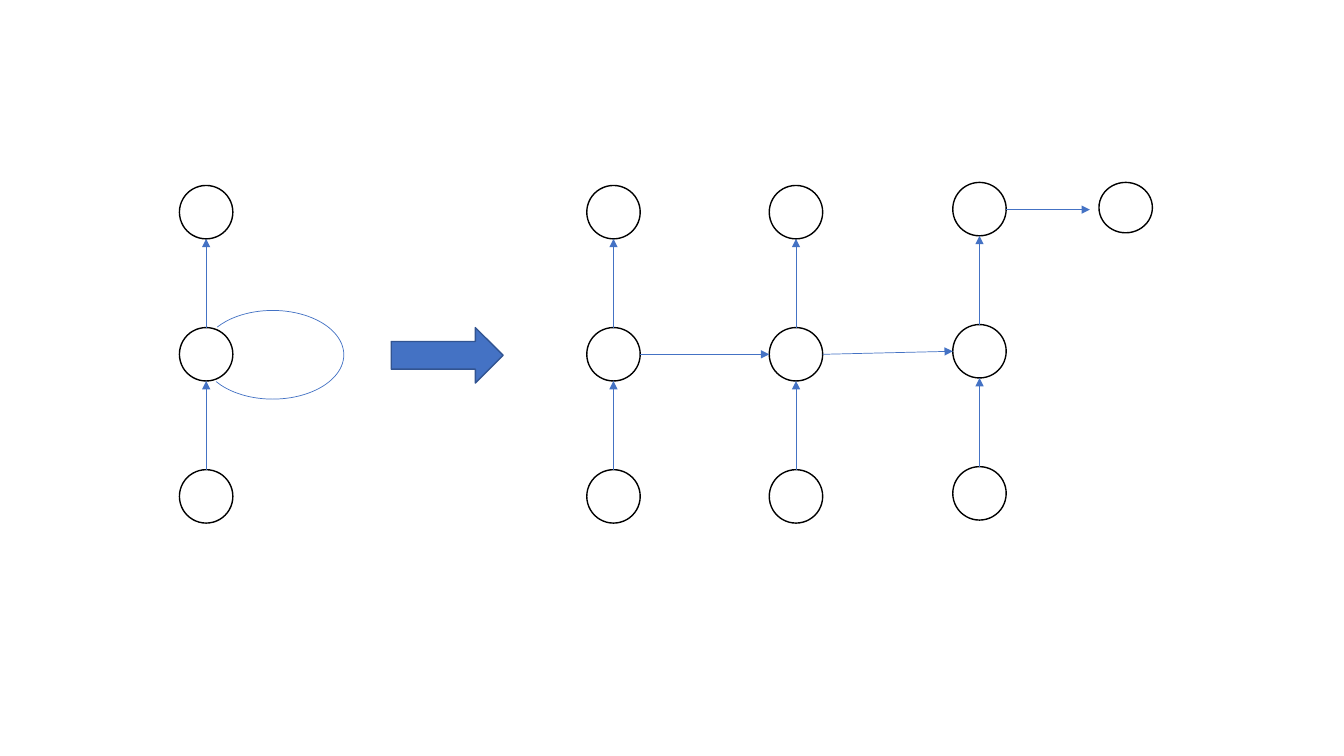
"""Draw a recurrent network and its unrolled form."""
from pptx import Presentation
from pptx.dml.color import RGBColor
from pptx.enum import shapes as kinds
from pptx.oxml.ns import qn
from pptx.util import Inches, Pt
from lxml import etree

WHITE = RGBColor(0xFF, 0xFF, 0xFF)
BLACK = RGBColor(0x00, 0x00, 0x00)
BLUE = RGBColor(0x44, 0x72, 0xC4)
DARK_BLUE = RGBColor(0x32, 0x54, 0x91)

NODE = 0.53
LAYER_STEP = 1.41


def add_figure(slide, kind, box, fill, line, width):
    figure = slide.shapes.add_shape(kind, *map(Inches, box))
    figure.shadow.inherit = False
    if fill is None:
        figure.fill.background()
    else:
        figure.fill.solid()
        figure.fill.fore_color.rgb = fill
    figure.line.color.rgb = line
    figure.line.width = Pt(width)
    return figure


def add_node(slide, left, top, height=NODE):
    add_figure(slide, kinds.MSO_SHAPE.OVAL, (left, top, NODE, height),
               WHITE, BLACK, 1)


def add_arrow(slide, start, end):
    arrow = slide.shapes.add_connector(
        kinds.MSO_CONNECTOR.STRAIGHT, *map(Inches, (*start, *end)))
    arrow.line.color.rgb = BLUE
    arrow.line.width = Pt(0.5)
    properties = arrow.element.spPr
    head = etree.SubElement(properties.find(qn("a:ln")), qn("a:tailEnd"))
    head.set("type", "triangle")
    etree.SubElement(properties, qn("a:effectLst"))


def add_column(slide, left, top):
    layer_tops = [top + layer * LAYER_STEP for layer in range(3)]
    for layer_top in layer_tops:
        add_node(slide, left, layer_top)
    middle = left + NODE / 2
    for upper, lower in zip(layer_tops, layer_tops[1:]):
        add_arrow(slide, (middle, lower), (middle, upper + NODE))


def add_loop(slide):
    loop = add_figure(slide, kinds.MSO_SHAPE.ARC, (2, 3.08, 1.41, 0.88),
                      None, BLUE, 0.5)
    loop.adjustments[0] = 123.939
    loop.adjustments[1] = 92.794


def main():
    deck = Presentation()
    deck.slide_width, deck.slide_height = Inches(13.33), Inches(7.5)
    slide = deck.slides.add_slide(deck.slide_layouts[6])

    add_column(slide, 1.78, 1.84)
    add_figure(slide, kinds.MSO_SHAPE.RIGHT_ARROW, (3.88, 3.25, 1.11, 0.55),
               BLUE, DARK_BLUE, 1)
    add_loop(slide)

    steps = [(5.82, 1.84), (7.63, 1.84), (9.45, 1.81)]
    for left, top in steps:
        add_column(slide, left, top)
    hidden_offset = LAYER_STEP + NODE / 2
    for (left, top), (next_left, next_top) in zip(steps, steps[1:]):
        add_arrow(slide, (left + NODE, top + hidden_offset),
                  (next_left, next_top + hidden_offset))

    add_arrow(slide, (9.98, 2.08), (10.81, 2.08))
    add_node(slide, 10.9, 1.81, 0.5)
    deck.save("out.pptx")


if __name__ == "__main__":
    main()
